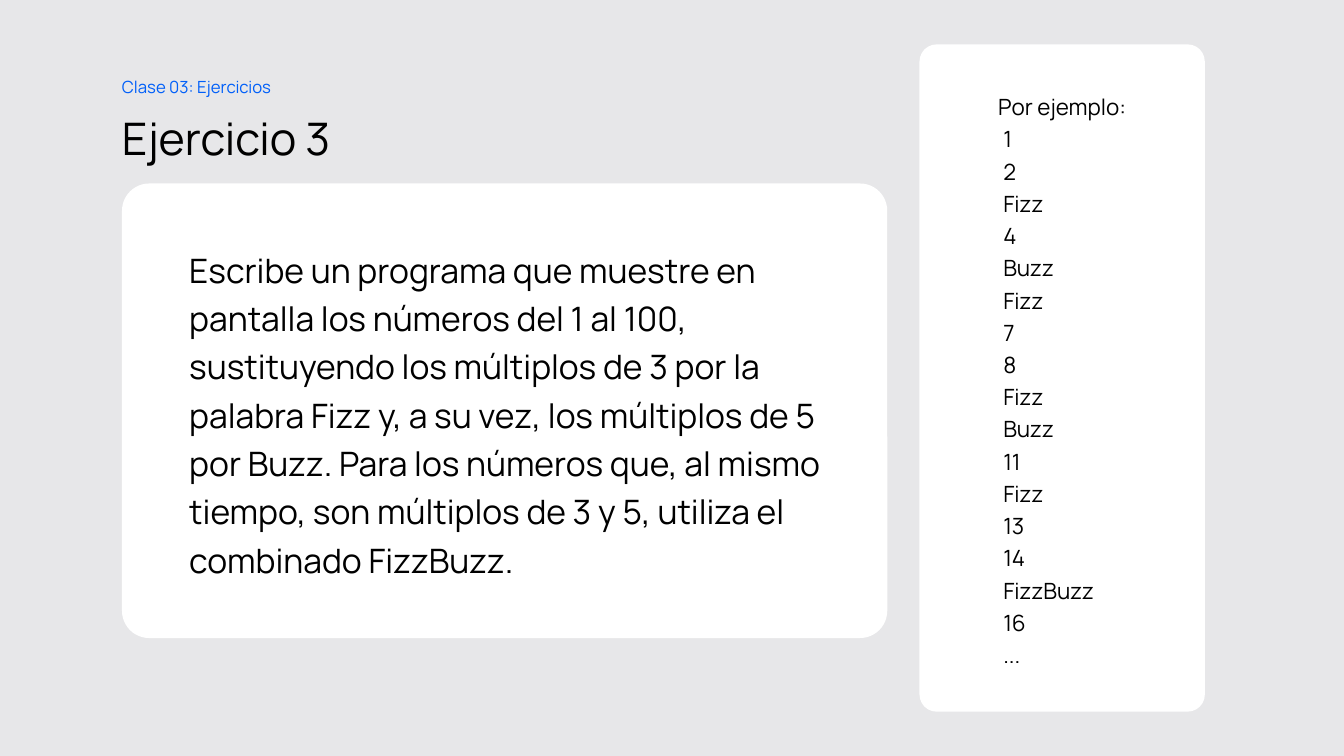
from pptx import Presentation
from pptx.dml.color import RGBColor
from pptx.enum.shapes import MSO_SHAPE
from pptx.enum.text import MSO_ANCHOR, PP_ALIGN
from pptx.util import Inches, Pt

ROUND = MSO_SHAPE.ROUNDED_RECTANGLE
TOP, MID = MSO_ANCHOR.TOP, MSO_ANCHOR.MIDDLE
LEFT = PP_ALIGN.LEFT
WIDE, HIGH = 13.33, 7.5
EDGE = 1.21  # left edge shared by the title and the task card


def tint(fill, code):
    fill.solid()
    fill.fore_color.rgb = RGBColor.from_string(code)


def write(shape, lines, size, code, anchor, pads, space=1.2, before=0):
    frame = shape.text_frame
    frame.text = "\n".join(lines)
    frame.word_wrap = True
    frame.vertical_anchor = anchor
    (frame.margin_left, frame.margin_top,
     frame.margin_right, frame.margin_bottom) = [Inches(p) for p in pads]
    for par in frame.paragraphs:
        par.alignment = LEFT
        par.line_spacing = space
        par.space_before = Pt(before)
        for run in par.runs:
            run.font.name = "Manrope"
            run.font.size = Pt(size)
            tint(run.font.fill, code)


deck = Presentation()
deck.slide_width, deck.slide_height = Inches(WIDE), Inches(HIGH)
slide = deck.slides.add_slide(deck.slide_layouts[6])
tint(slide.background.fill, "E7E7E9")

# Heading: title and class label
heads = [
    ("Ejercicio 3", (EDGE, 1, 10.85, 0.75), 32, "000000", MID,
     (0, 0.1, 0.1, 0.05), 0.9, 0),
    ("Clase 03: Ejercicios", (EDGE, 0.67, 1.69, 0.34), 12, "005FF9", TOP,
     (0, 0.05, 0.1, 0.05), 1.2, 10),
]
for text, area, *style in heads:
    box = slide.shapes.add_textbox(*[Inches(v) for v in area])
    write(box, [text], *style)

# Cards: the task and the sample output
task = ("Escribe un programa que muestre en pantalla los números del 1 al 100, "
        "sustituyendo los múltiplos de 3 por la palabra Fizz y, a su vez, los "
        "múltiplos de 5 por Buzz. Para los números que, al mismo tiempo, son "
        "múltiplos de 3 y 5, utiliza el combinado FizzBuzz.")
terms = ["Fizz" * (n % 3 == 0) + "Buzz" * (n % 5 == 0) or str(n)
         for n in range(1, 17)]
cards = [
    ([task], (EDGE, 1.82, 7.59, 4.51), 24, 10),
    (["Por ejemplo:", *terms, "..."], (9.12, 0.44, 2.83, 6.62), 16, 0),
]
for lines, area, size, before in cards:
    card = slide.shapes.add_shape(ROUND, *[Inches(v) for v in area])
    card.adjustments[0] = 0.06
    card.shadow.inherit = False
    tint(card.fill, "FFFFFF")
    card.line.fill.background()
    write(card, lines, size, "000000", MID, (0.39, 0, 0.39, 0), before=before)
    # Centre the text block while its lines stay left-aligned
    card.text_frame._txBody.bodyPr.set("anchorCtr", "1")
    for par in card.text_frame.paragraphs[1:]:
        par._p.get_or_add_pPr().set("marL", str(Inches(0.05)))

deck.save("out.pptx")
